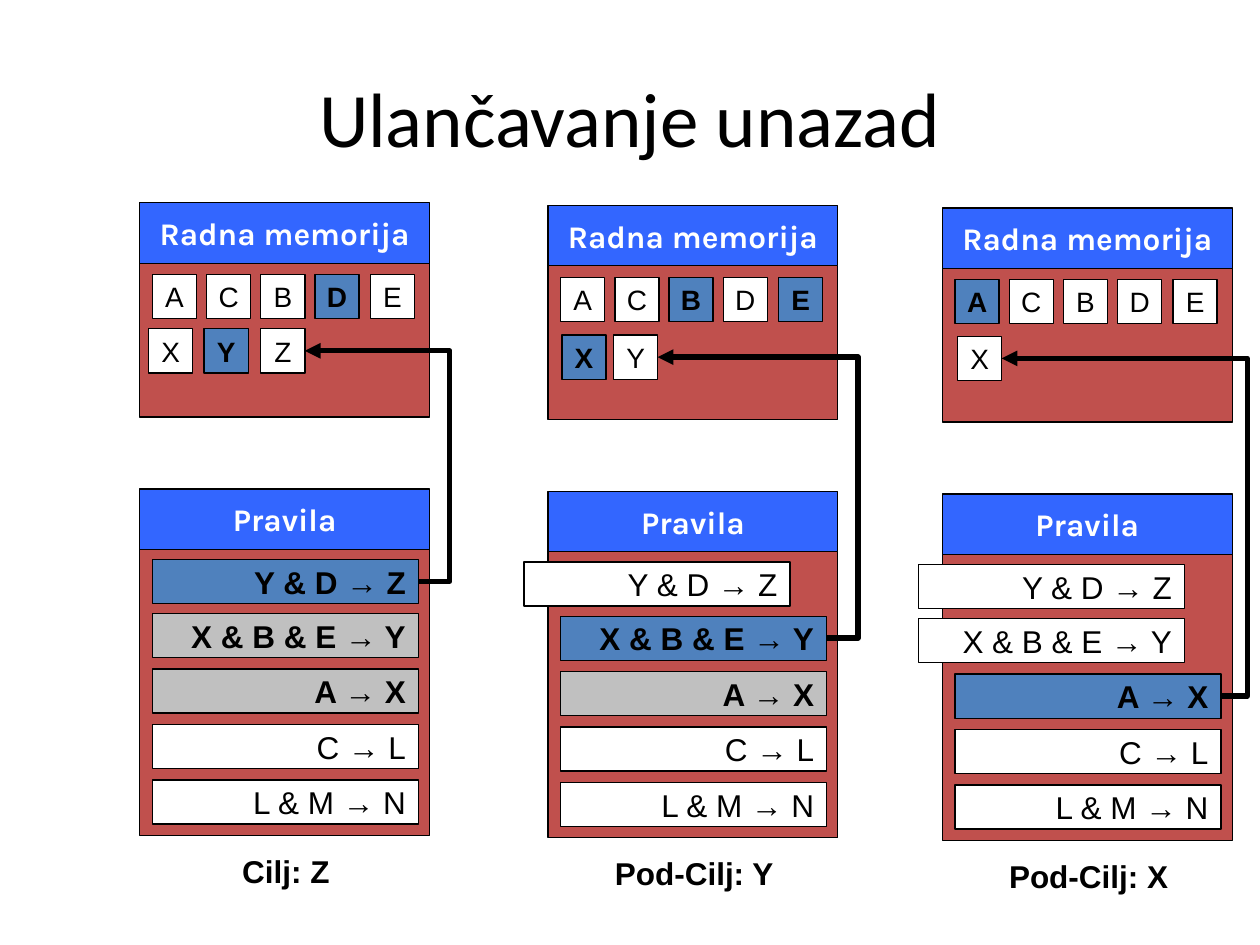
from dataclasses import dataclass
from lxml.etree import SubElement
from pptx import Presentation
from pptx.dml.color import RGBColor as Rgb
from pptx.enum.shapes import MSO_CONNECTOR as Link, MSO_SHAPE as Shape
from pptx.enum.text import MSO_ANCHOR as Anchor, MSO_AUTO_SIZE as Fit, PP_ALIGN as Align
from pptx.oxml.ns import qn
from pptx.util import Pt

SCALE = 9144  # EMU per px, 100 px to the inch


@dataclass(frozen=True)
class Theme:
    black: str = "000000"
    white: str = "FFFFFF"
    head: str = "3366FF"
    panel: str = "C0504D"
    hot: str = "4F81BD"
    next: str = "C0C0C0"
    sans: str = "Arial"
    brand: str = "Karla"
    title_font: str = "Calibri"
    title: int = 44
    body: int = 18
    tile: int = 16
    thin: float = 0.75
    thick: int = 3


THEME = Theme()
FILLS = {"hot": THEME.hot, "next": THEME.next, "free": THEME.white, "spent": THEME.white}
FACTS = "ACBDE"
RULES = ["Y & D → Z", "X & B & E → Y", "A → X", "C → L", "L & M → N"]

# goals: letter and its place in the column; the last one is the arrow's target
STEPS = [
    dict(at=(111, 161), facts="D", goals=[("X", 7, 100), ("Y", 51, 100), ("Z", 96, 100)],
         states=["hot", "next", "next", "free", "free"], hot="Y", bend=25,
         label="Cilj: Z", span=90),
    dict(at=(435, 163), facts="BE", goals=[("X", 11, 103), ("Y", 52, 103)],
         states=["spent", "hot", "next", "free", "free"], hot="X", bend=25,
         label="Pod-Cilj: Y", span=148),
    dict(at=(748, 165), facts="A", goals=[("X", 12, 102)],
         states=["spent", "spent", "hot", "free", "free"], hot="", bend=21,
         label="Pod-Cilj: X", span=148),
]


def px(*sizes):
    return [size * SCALE for size in sizes]


def style(frame, text, size, font=THEME.sans, color=THEME.black, bold=False, align=Align.CENTER):
    frame.text = text
    frame.word_wrap = False
    frame.vertical_anchor = Anchor.MIDDLE
    para = frame.paragraphs[0]
    para.alignment = align
    face = para.runs[0].font
    face.name, face.size, face.bold = font, Pt(size), bold
    face.color.rgb = Rgb.from_string(color)


def add_box(slide, box, fill):
    rect = slide.shapes.add_shape(Shape.RECTANGLE, *px(*box))
    rect.shadow.inherit = False
    rect.fill.solid()
    rect.fill.fore_color.rgb = Rgb.from_string(fill)
    rect.line.color.rgb = Rgb.from_string(THEME.black)
    rect.line.width = Pt(THEME.thin)
    return rect


def add_panel(slide, x, y, tall, text):
    add_box(slide, (x, y + 47, 230, tall), THEME.panel)
    head = add_box(slide, (x, y, 230, 48), THEME.head)
    style(head.text_frame, text, THEME.body, THEME.brand, THEME.white, True)


def add_tile(slide, x, y, text, hot):
    tile = add_box(slide, (x, y, 35, 35), THEME.hot if hot else THEME.white)
    style(tile.text_frame, text, THEME.tile, bold=hot)
    return tile


def add_memory(slide, x, y, step):
    """Draw the working memory and return the tile of the current goal."""
    add_panel(slide, x, y, 123, "Radna memorija")
    for i, fact in enumerate(FACTS):
        add_tile(slide, x + 10 + i * 173 // 4, y + 57, fact, fact in step["facts"])
    tiles = [add_tile(slide, x + dx, y + dy, goal, goal == step["hot"])
             for goal, dx, dy in step["goals"]]
    return tiles[-1]


def add_rules(slide, x, y, states):
    """Draw the rules and return the one that fires."""
    add_panel(slide, x, y, 228, "Pravila")
    fired = None
    for i, (rule, state) in enumerate(zip(RULES, states)):
        left = x - 19 if state == "spent" else x + 10
        bar = add_box(slide, (left, y + 56 + i * 175 // 4, 211, 35), FILLS[state])
        style(bar.text_frame, rule, THEME.body, bold=state in ("hot", "next"), align=Align.RIGHT)
        if state == "hot":
            fired = bar
    return fired


def add_arrow(slide, rule, goal, bend):
    """Lead from the rule's right side, out by bend px, back to the goal's right side."""
    start = rule.left + rule.width, rule.top + rule.height // 2
    end = goal.left + goal.width, goal.top + goal.height // 2
    arrow = slide.shapes.add_connector(Link.ELBOW, *start, *end)
    arrow.begin_connect(rule, 3)
    arrow.end_connect(goal, 3)
    arrow.line.color.rgb = Rgb.from_string(THEME.black)
    arrow.line.width = Pt(THEME.thick)
    props = arrow._element.spPr
    ratio = round(-100000 * bend * SCALE / arrow.width)
    SubElement(props.find(".//" + qn("a:avLst")), qn("a:gd"), name="adj1", fmla=f"val {ratio}")
    SubElement(props.find(qn("a:ln")), qn("a:tailEnd"), type="triangle")
    SubElement(props, qn("a:effectLst"))


def add_label(slide, x, y, text, span):
    label = slide.shapes.add_textbox(*px(x + 116 - span // 2, y, span, 40))
    style(label.text_frame, text, THEME.body, bold=True)
    label.text_frame.vertical_anchor = Anchor.TOP
    label.text_frame.auto_size = Fit.SHAPE_TO_FIT_TEXT


def add_step(slide, step):
    x, y = step["at"]
    rule = add_rules(slide, x, y + 227, step["states"])
    goal = add_memory(slide, x, y, step)
    add_arrow(slide, rule, goal, step["bend"])
    add_label(slide, x, y + 510, step["label"], step["span"])


def add_title(slide, text):
    title = slide.shapes.title
    title.left, title.top, title.width, title.height = px(50, 30, 900, 125)
    style(title.text_frame, text, THEME.title, THEME.title_font)
    title.text_frame.word_wrap = True


def main():
    deck = Presentation()
    deck.slide_width, deck.slide_height = px(1000, 750)
    slide = deck.slides.add_slide(deck.slide_layouts[5])
    add_title(slide, "Ulančavanje unazad")
    for step in STEPS:
        add_step(slide, step)
    deck.save("out.pptx")


if __name__ == "__main__":
    main()
